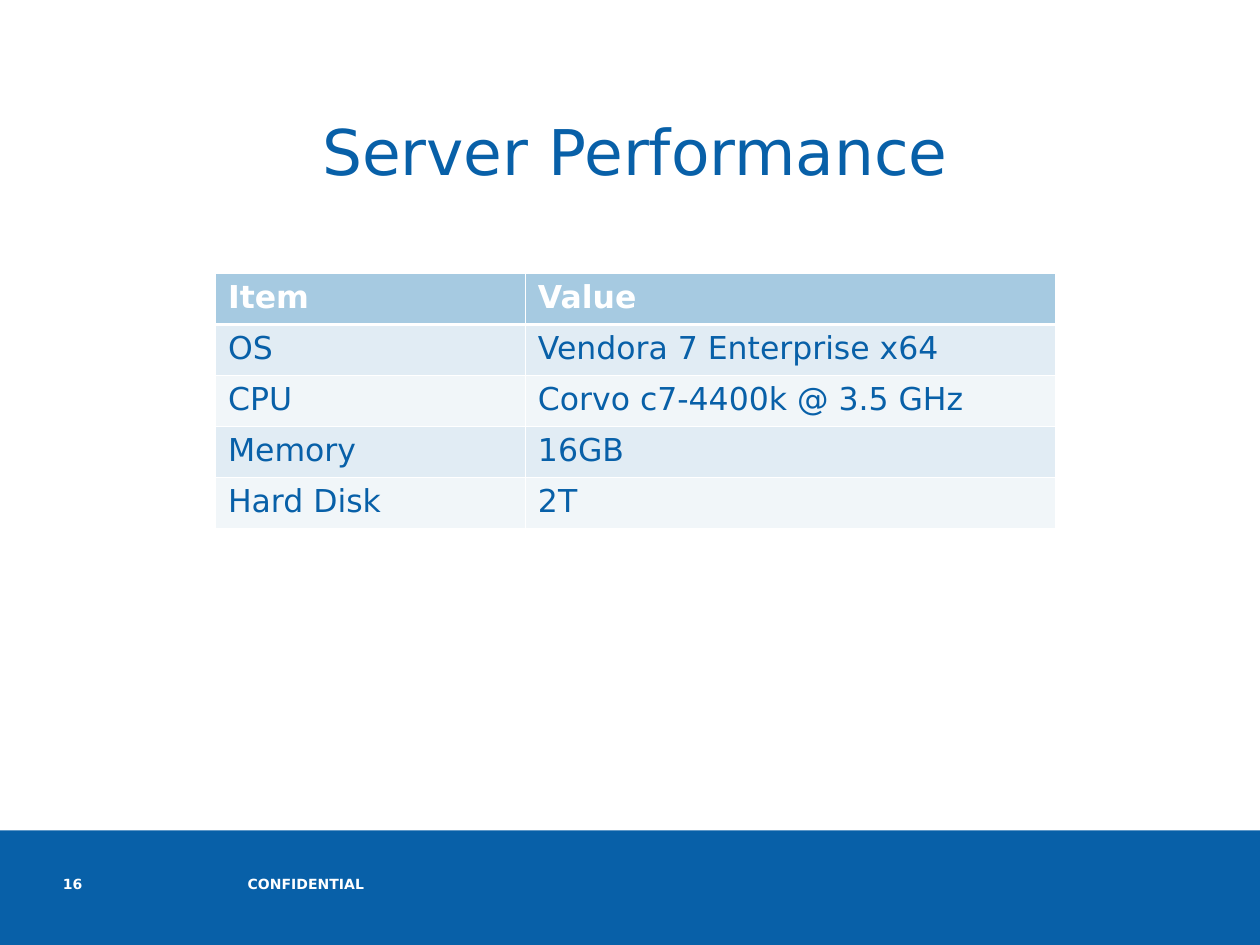
import pptx
import pptx.dml.color
import pptx.enum.shapes
import pptx.enum.text
import pptx.oxml
import pptx.oxml.ns
import pptx.util

# Grid: 100 columns by 75 rows on a 10 x 7.5 inch slide
COLUMNS, ROWS = 100, 75
CELL = pptx.util.Inches(0.1)

FONT = "DejaVu Sans"
BLUE, WHITE = "0860A8", "FFFFFF"
HEADER_FILL = "A6CAE1"
BAND_FILLS = ("E1ECF4", "F1F6F9")
THIN, THICK = 0.45, 1.47

SERVER = [
    ("Item", "Value"),
    ("OS", "Vendora 7 Enterprise x64"),
    ("CPU", "Corvo c7-4400k @ 3.5 GHz"),
    ("Memory", "16GB"),
    ("Hard Disk", "2T"),
]


def grid(*counts):
    return [round(count * CELL) for count in counts]


def paint(color_owner, color):
    color_owner.rgb = pptx.dml.color.RGBColor.from_string(color)


def fill_with(fill, color):
    fill.solid()
    paint(fill.fore_color, color)


def write(frame, text, size=18, color=BLUE, bold=False, align="LEFT"):
    paragraph = frame.paragraphs[0]
    paragraph.alignment = getattr(pptx.enum.text.PP_ALIGN, align)
    run = paragraph.add_run()
    run.text = text
    run.font.name = FONT
    run.font.size = pptx.util.Pt(size)
    run.font.bold = bold
    paint(run.font.color, color)


def add_label(slide, text, left, top, width, height, inset=(0, 0), **style):
    frame = slide.shapes.add_textbox(*grid(left, top, width, height)).text_frame
    frame.word_wrap = True
    frame.margin_left = frame.margin_right = grid(inset[0])[0]
    frame.margin_top = frame.margin_bottom = grid(inset[1])[0]
    write(frame, text, **style)


def add_band(slide, left, top, width, height, color):
    band = slide.shapes.add_shape(
        pptx.enum.shapes.MSO_SHAPE.RECTANGLE, *grid(left, top, width, height))
    band.shadow.inherit = False
    fill_with(band.fill, color)
    band.line.fill.background()


def set_borders(cell, top, bottom):
    properties = cell._tc.get_or_add_tcPr()
    widths = {"lnL": THIN, "lnR": THIN, "lnT": top, "lnB": bottom}
    for position, (side, points) in enumerate(widths.items()):
        properties.insert(position, pptx.oxml.parse_xml(
            f'<a:{side} {pptx.oxml.ns.nsdecls("a")} w="{pptx.util.Pt(points)}">'
            f'<a:solidFill><a:srgbClr val="{WHITE}"/></a:solidFill></a:{side}>'))


def add_spec_table(slide, entries, left, top, column_widths, row_height):
    table = slide.shapes.add_table(
        len(entries), len(column_widths),
        *grid(left, top, sum(column_widths), row_height * len(entries))).table
    for column, width in zip(table.columns, grid(*column_widths)):
        column.width = width
    for index, entry in enumerate(entries):
        header = index == 0
        for cell, text in zip(table.rows[index].cells, entry):
            cell.margin_left = cell.margin_right = grid(1)[0]
            cell.margin_top = cell.margin_bottom = grid(0.5)[0]
            fill_with(cell.fill, HEADER_FILL if header else BAND_FILLS[(index - 1) % 2])
            set_borders(cell, top=THICK if index == 1 else THIN,
                        bottom=THICK if header else THIN)
            write(cell.text_frame, text, color=WHITE if header else BLUE, bold=header)


def main():
    deck = pptx.Presentation()
    deck.slide_width, deck.slide_height = grid(COLUMNS, ROWS)
    slide = deck.slides.add_slide(deck.slide_layouts[6])

    # Footer
    footer_top = 65.9
    add_band(slide, 0, footer_top, COLUMNS, ROWS - footer_top, BLUE)
    footer_style = dict(size=8, color=WHITE, bold=True)
    add_label(slide, "CONFIDENTIAL", 19.65, 69.5, 41.75, 3.3, **footer_style)
    add_label(slide, "16", 5, 69.5, 4.6, 3.3, **footer_style)

    # Title
    add_label(slide, "Server Performance", 15.8, 8.4, 69.2, 7,
              inset=(1, 0.5), size=36, align="CENTER")

    # Server specification
    add_spec_table(slide, SERVER, 17.1, 21.7, (24.6, 42.1), 4.05)

    deck.save("out.pptx")


if __name__ == "__main__":
    main()
